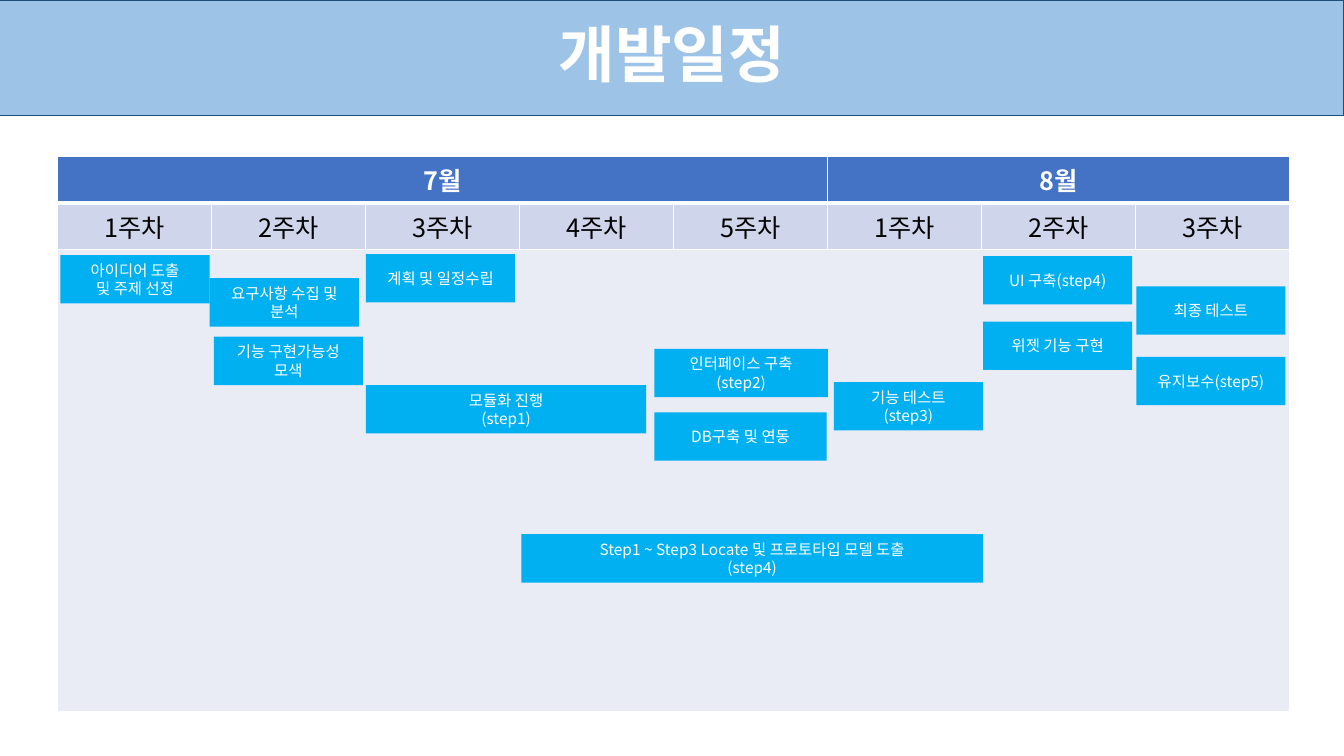
from lxml import etree
from pptx import Presentation
from pptx.dml.color import RGBColor
from pptx.enum.shapes import MSO_SHAPE
from pptx.enum.text import MSO_ANCHOR, PP_ALIGN
from pptx.oxml.ns import qn
from pptx.util import Inches, Pt

RECTANGLE = MSO_SHAPE.RECTANGLE
CENTER = PP_ALIGN.CENTER
MIDDLE = MSO_ANCHOR.MIDDLE

WHITE = RGBColor(0xFF, 0xFF, 0xFF)
BLACK = RGBColor(0x00, 0x00, 0x00)
BANNER_BLUE = RGBColor(0x9D, 0xC3, 0xE6)
BANNER_EDGE = RGBColor(0x1F, 0x4E, 0x79)
MONTH_BLUE = RGBColor(0x44, 0x72, 0xC4)
WEEK_GRAY = RGBColor(0xCF, 0xD5, 0xEA)
BODY_GRAY = RGBColor(0xE9, 0xEB, 0xF5)
TASK_BLUE = RGBColor(0x00, 0xB0, 0xF0)

MONTHS = [("7월", 5), ("8월", 3)]
ROW_HEIGHTS = [0.42, 0.42, 4.59]
WEEK_WIDTH = 12.22 / 8
TASK_WIDTH = 1.48
TASK_HEIGHT = 0.48

TASKS = [
    (0.6, 2.53, TASK_WIDTH, ["아이디어 도출", "및 주제 선정"]),
    (2.08, 2.76, TASK_WIDTH, ["요구사항 수집 및 분석"]),
    (2.12, 3.34, TASK_WIDTH, ["기능 구현가능성", "모색"]),
    (3.63, 2.52, TASK_WIDTH, ["계획 및 일정수립"]),
    (3.63, 3.82, 2.78, ["모듈화 진행", "(step1)"]),
    (6.49, 3.46, 1.72, ["인터페이스 구축", "(step2)"]),
    (6.49, 4.09, 1.71, ["DB구축 및 연동"]),
    (8.27, 3.79, TASK_WIDTH, ["기능 테스트", "(step3)"]),
    (5.17, 5.3, 4.58, ["Step1 ~ Step3 Locate 및 프로토타입 모델 도출", "(step4)"]),
    (9.75, 2.54, TASK_WIDTH, ["UI 구축(step4)"]),
    (9.75, 3.19, TASK_WIDTH, ["위젯 기능 구현"]),
    (11.27, 3.54, TASK_WIDTH, ["유지보수(step5)"]),
    (11.27, 2.84, TASK_WIDTH, ["최종 테스트"]),
]


class ScheduleSlide:
    font_name = "Noto Sans CJK KR"
    title_format = {"size": Pt(44), "bold": True}
    month_format = {"size": Pt(18), "bold": True}
    week_format = {"size": Pt(18), "bold": False}
    task_format = {"size": Pt(11), "bold": False}

    def __init__(self, slide):
        self.slide = slide

    def add_lines(self, frame, lines, font_format, color=WHITE, spacing=None):
        for index, line in enumerate(lines):
            paragraph = frame.add_paragraph() if index else frame.paragraphs[0]
            paragraph.alignment = CENTER
            paragraph.line_spacing = spacing
            run = paragraph.add_run()
            run.text = line
            for name, value in {"name": self.font_name, **font_format}.items():
                setattr(run.font, name, value)
            run.font.color.rgb = color
            east_asian = etree.SubElement(run.font._element, qn("a:ea"))
            east_asian.set("typeface", self.font_name)

    def box(self, place, lines, fill, font_format, edge=None, spacing=None):
        box = self.slide.shapes.add_shape(RECTANGLE, *map(Inches, place))
        box.shadow.inherit = False
        box.fill.solid()
        box.fill.fore_color.rgb = fill
        if edge is None:
            box.line.fill.background()
        else:
            box.line.color.rgb = edge
            box.line.width = Pt(0.75)
        box.text_frame.word_wrap = True
        box.text_frame.vertical_anchor = MIDDLE
        self.add_lines(box.text_frame, lines, font_format, spacing=spacing)

    def style_cell(self, cell, fill, top, bottom):
        properties = cell._tc.get_or_add_tcPr()
        for side, width in {"L": 1, "R": 1, "T": top, "B": bottom}.items():
            border = etree.SubElement(properties, qn(f"a:ln{side}"), w=str(Pt(width)))
            solid = etree.SubElement(border, qn("a:solidFill"))
            etree.SubElement(solid, qn("a:srgbClr"), val=str(WHITE))
        cell.fill.solid()
        cell.fill.fore_color.rgb = fill

    def calendar(self, left, top):
        week_count = sum(weeks for _, weeks in MONTHS)
        calendar = self.slide.shapes.add_table(
            len(ROW_HEIGHTS), week_count, Inches(left), Inches(top),
            Inches(WEEK_WIDTH * week_count), Inches(sum(ROW_HEIGHTS))).table
        for column in calendar.columns:
            column.width = Inches(WEEK_WIDTH)
        row_styles = [(MONTH_BLUE, 1, 3), (WEEK_GRAY, 3, 1), (BODY_GRAY, 1, 1)]
        for row, height, row_style in zip(calendar.rows, ROW_HEIGHTS, row_styles):
            row.height = Inches(height)
            for cell in row.cells:
                self.style_cell(cell, *row_style)
        first = 0
        for month, weeks in MONTHS:
            month_cell = calendar.cell(0, first)
            month_cell.merge(calendar.cell(0, first + weeks - 1))
            self.add_lines(month_cell.text_frame, [month], self.month_format)
            for week in range(weeks):
                self.add_lines(calendar.cell(1, first + week).text_frame,
                               [f"{week + 1}주차"], self.week_format, BLACK)
            first += weeks
        calendar.cell(2, 0).merge(calendar.cell(2, week_count - 1))

    def task(self, left, top, width, lines):
        self.box((left, top, width, TASK_HEIGHT), lines, TASK_BLUE, self.task_format)

    def banner(self, title):
        self.box((0, 0, 13.33, 1.15), [title], BANNER_BLUE, self.title_format,
                 edge=BANNER_EDGE, spacing=0.9)


def main():
    presentation = Presentation()
    presentation.slide_width = Inches(13.33)
    presentation.slide_height = Inches(7.5)
    schedule = ScheduleSlide(
        presentation.slides.add_slide(presentation.slide_layouts[6]))
    schedule.calendar(0.57, 1.55)
    for task in TASKS:
        schedule.task(*task)
    schedule.banner("개발일정")
    presentation.save("out.pptx")


if __name__ == "__main__":
    main()
